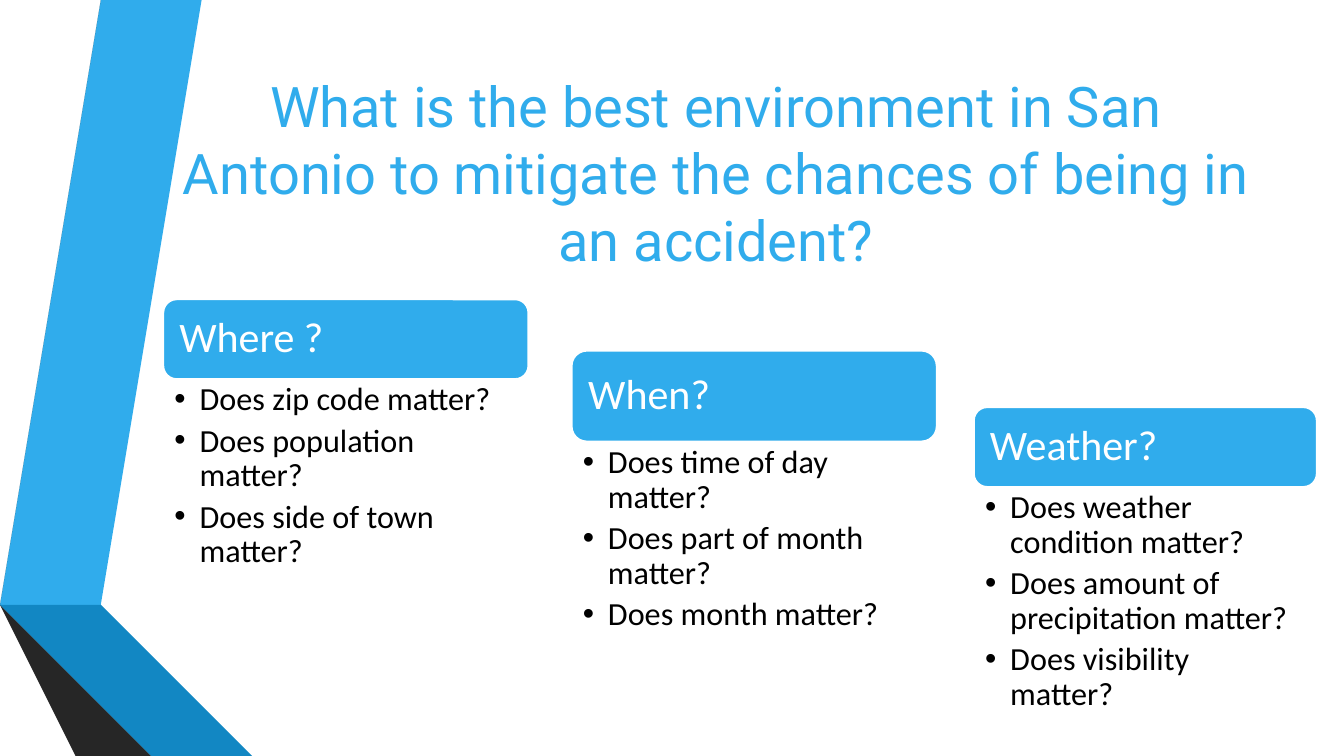
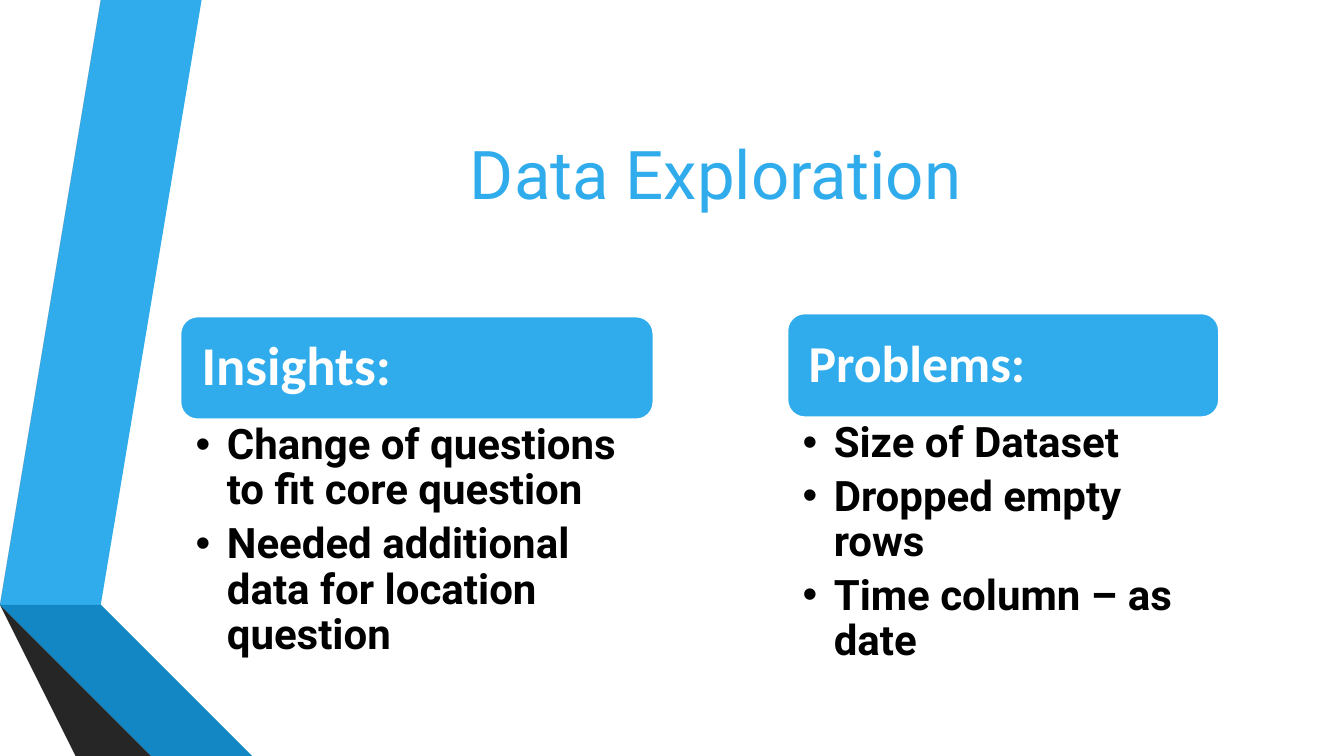
import copy

import pptx
import pptx.dml.color
import pptx.enum.shapes
import pptx.enum.text
import pptx.util

WIDTH, HEIGHT = 13.33, 7.5
BLUE, BLACK, WHITE = "30ACEC", "000000", "FFFFFF"
TITLE_BOX = (1.62, 0.75, 10.96, 1.92)

RIBBON = [
    (BLUE, [(0.5, 5.78), (0.77, 5.83), (1.73, 0), (1.45, 0)]),
    ("595959", [(1.39, 0), (1.11, 0), (0.16, 5.73), (0.44, 5.77)]),
    ("262626", [(0.16, 5.73), (1.45, HEIGHT), (1.51, HEIGHT)]),
    ("0C5A82", [(0.5, 5.79), (2.08, HEIGHT), (2.14, HEIGHT)]),
    ("1287C3", [(0.5, 5.78), (0.5, 5.79), (2.14, HEIGHT), (2.83, HEIGHT), (0.77, 5.83)]),
    ("404040", [(2.02, HEIGHT), (0.48, 5.83), (0.44, 5.77), (0.16, 5.73), (1.51, HEIGHT)]),
]

SLIDES = [
    {
        "title": "What is the best environment in San Antonio to mitigate "
                 "the chances of being in an accident?",
        "title_size": 40,
        "list": {"size": 23, "font": "Calibri", "hang": 0.25},
        "list_inset": 0.11,
        "heading": {"bold": False},
        "heading_inset": 0.12,
        "cards": [
            {"heading": "Where ?", "size": 30, "at": (1.62, 2.97, 3.62, 0.79),
             "list_height": 2, "right": 0.23,
             "points": ["Does zip code matter?", "Does population matter?",
                        "Does side of town matter?"]},
            {"heading": "When?", "size": 30, "at": (5.67, 3.48, 3.62, 0.9),
             "list_height": 2, "right": 0.18,
             "points": ["Does time of day matter?", "Does part of month matter?",
                        "Does month matter?"]},
            {"heading": "Weather?", "size": 30, "at": (9.66, 4.04, 3.4, 0.79),
             "list_height": 2.38, "right": 0.23,
             "points": ["Does weather condition matter?",
                        "Does amount of precipitation matter?",
                        "Does visibility matter?"]},
        ],
    },
    {
        "title": "Data Exploration",
        "title_size": 48,
        "list": {"size": 30, "font": "Roboto", "bold": True, "hang": 0.31},
        "list_inset": 0.15,
        "heading": {"bold": True},
        "heading_inset": 0.16,
        "cards": [
            {"heading": "Insights:", "size": 39, "at": (1.79, 3.14, 4.69, 1.02),
             "list_height": 1.94, "right": 0.3,
             "points": ["Change of questions to fit core question",
                        "Needed additional data for location question"]},
            {"heading": "Problems:", "size": 37, "at": (7.81, 3.11, 4.28, 1.03),
             "list_height": 2, "right": 0.23,
             "points": ["Size of Dataset", "Dropped empty rows",
                        "Time column – as date"]},
        ],
    },
]


def rgb(code):
    return pptx.dml.color.RGBColor.from_string(code)


def place(shape, left, top, width, height):
    shape.left, shape.top, shape.width, shape.height = (
        pptx.util.Inches(length) for length in (left, top, width, height))


def write(shape, lines, size, font="Calibri", color=BLACK, bold=False, align="LEFT",
          anchor="TOP", insets=(0.1, 0.05, 0.1, 0.05), spacing=1, after=0, hang=0):
    frame = shape.text_frame
    frame.word_wrap = True
    frame.auto_size = pptx.enum.text.MSO_AUTO_SIZE.NONE
    frame.vertical_anchor = getattr(pptx.enum.text.MSO_ANCHOR, anchor)
    frame.margin_left, frame.margin_top, frame.margin_right, frame.margin_bottom = (
        pptx.util.Inches(inset) for inset in insets)
    frame.text = "\n".join(lines)
    for paragraph in frame.paragraphs:
        paragraph.alignment = getattr(pptx.enum.text.PP_ALIGN, align)
        paragraph.line_spacing = spacing
        paragraph.space_before = pptx.util.Pt(0)
        paragraph.space_after = pptx.util.Pt(after * size)
        if hang:
            properties = paragraph._p.get_or_add_pPr()
            properties.set("marL", str(pptx.util.Inches(hang)))
            properties.set("indent", str(-pptx.util.Inches(hang)))
            bullet = pptx.oxml.parse_xml(
                '<a:buChar xmlns:a="http://schemas.openxmlformats.org/drawingml/2006/main" char="•"/>')
            properties.append(bullet)
        for run in paragraph.runs:
            run.font.size = pptx.util.Pt(size)
            run.font.name = font
            run.font.bold = bold
            run.font.color.rgb = rgb(color)


def prepare_layout(layout):
    place(layout.placeholders[0], *TITLE_BOX)
    second_list = layout.placeholders[2].element
    third_list = copy.deepcopy(second_list)
    third_list.xpath(".//p:ph")[0].set("idx", "13")
    third_list.xpath(".//p:cNvPr")[0].set("id", "20")
    second_list.addnext(third_list)


def add_ribbon(slide, layout):
    for position, (color, points) in enumerate(RIBBON, start=2):
        builder = slide.shapes.build_freeform(*points[0], scale=pptx.util.Inches(1))
        builder.add_line_segments(points[1:], close=True)
        band = builder.convert_to_shape()
        band.shadow.inherit = False
        band.fill.solid()
        band.fill.fore_color.rgb = rgb(color)
        band.line.fill.background()
        layout.shapes.element.insert(position, band.element)


def add_card(slide, points_box, card, content):
    left, top, width, height = card["at"]
    heading = slide.shapes.add_shape(
        pptx.enum.shapes.MSO_SHAPE.ROUNDED_RECTANGLE, 0, 0, 0, 0)
    place(heading, left, top, width, height)
    heading.shadow.inherit = False
    heading.fill.solid()
    heading.fill.fore_color.rgb = rgb(BLUE)
    heading.line.color.rgb = rgb(WHITE)
    heading.line.width = pptx.util.Pt(1.25)
    write(heading, [card["heading"]], card["size"], color=WHITE, anchor="MIDDLE",
          insets=(content["heading_inset"],) * 4, spacing=0.9, **content["heading"])
    place(points_box, left, top + height, width, card["list_height"])
    write(points_box, card["points"], insets=(content["list_inset"], 0.04, card["right"], 0.04),
          spacing=0.9, after=0.2, **content["list"])


def main():
    deck = pptx.Presentation()
    deck.slide_width = pptx.util.Inches(WIDTH)
    deck.slide_height = pptx.util.Inches(HEIGHT)
    layout = deck.slide_layouts.get_by_name("Two Content")
    prepare_layout(layout)
    for number, content in enumerate(SLIDES):
        slide = deck.slides.add_slide(layout)
        if number == 0:
            add_ribbon(slide, layout)
        write(slide.shapes.title, [content["title"]], content["title_size"],
              font="Roboto", color=BLUE, align="CENTER", anchor="MIDDLE")
        lists = list(slide.placeholders)[1:]
        for points_box, card in zip(lists, content["cards"]):
            add_card(slide, points_box, card, content)
        for unused in lists[len(content["cards"]):]:
            unused.element.getparent().remove(unused.element)
    deck.save("out.pptx")


if __name__ == "__main__":
    main()
